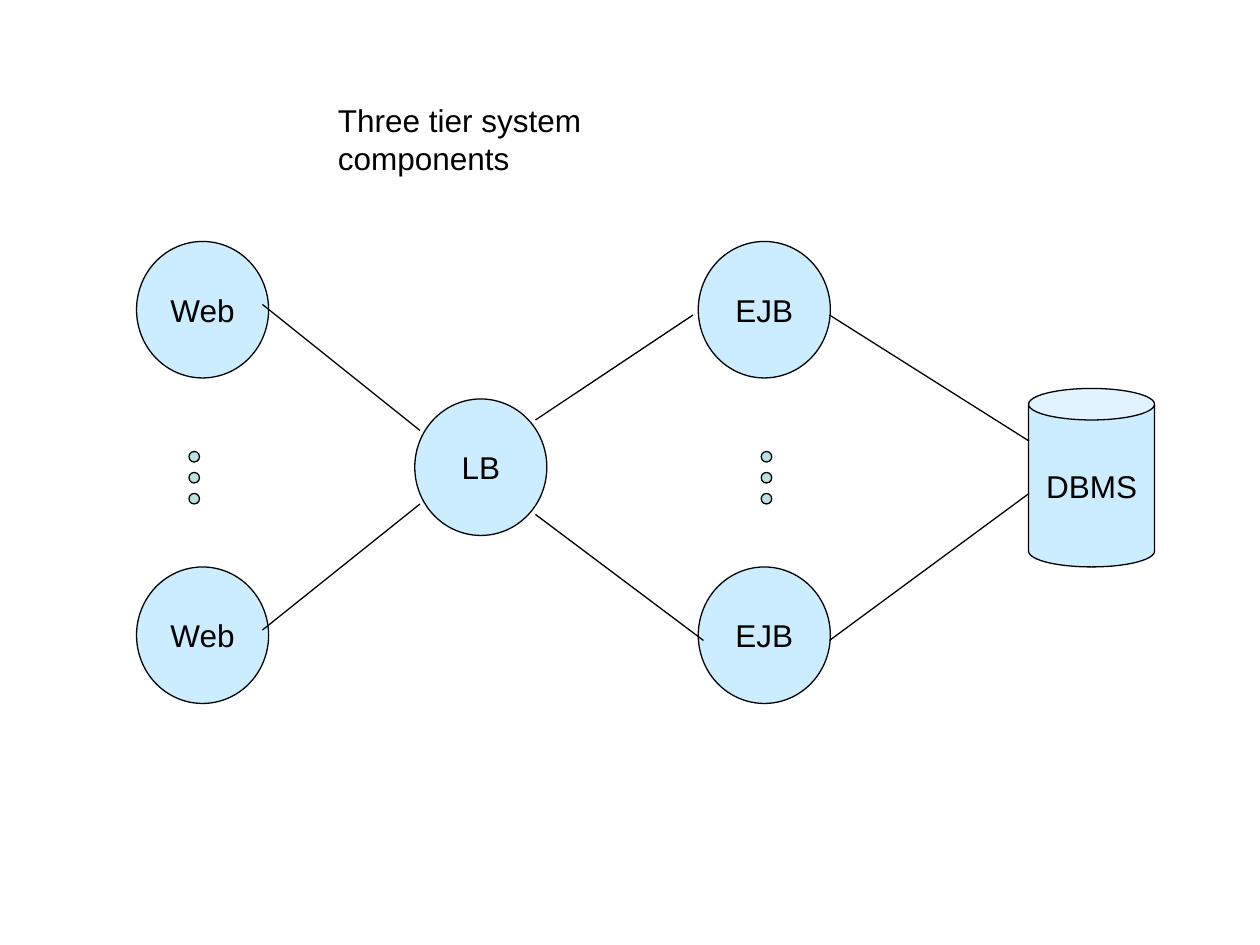
from dataclasses import dataclass

import pptx
import pptx.dml.color
import pptx.enum.shapes
import pptx.enum.text
import pptx.oxml.ns
import pptx.presentation
import pptx.slide
import pptx.text.text
import pptx.util
from lxml import etree

Pt = pptx.util.Pt
RGB = pptx.dml.color.RGBColor
Shape = pptx.enum.shapes.MSO_SHAPE


@dataclass(frozen=True)
class Theme:
    ink: RGB = RGB.from_string("000000")
    component: RGB = RGB.from_string("CCECFF")
    dot: RGB = RGB.from_string("BBE0E3")
    font: str = "Arial"
    text_size: float = 18
    line_width: float = 0.75


@dataclass(frozen=True)
class Component:
    label: str
    left: float
    top: float
    width: float = 75.5
    height: float = 78
    outline: Shape = Shape.OVAL


@dataclass(frozen=True)
class Link:
    x1: float
    y1: float
    x2: float
    y2: float


THEME = Theme()
DOT_SIZE = 6
DOT_TOP, DOT_STEP, DOT_COUNT = 258, 12, 3
UPPER_ROW, LOWER_ROW = 138, 324

COMPONENTS = [
    Component("Web", 78, UPPER_ROW),
    Component("Web", 78, LOWER_ROW),
    Component("LB", 237, 228),
    Component("EJB", 399, UPPER_ROW),
    Component("EJB", 399, LOWER_ROW),
    Component("DBMS", 587.75, 222, 72, 102, Shape.CAN),
]
DOT_COLUMNS = [108, 435]
LINKS = [
    Link(150, 174, 240, 246),
    Link(150, 360, 240, 288),
    Link(306, 240, 396, 180),
    Link(306, 294, 402, 366),
    Link(474, 180, 588, 252),
    Link(474, 366, 588, 282),
]


def write_text(frame: pptx.text.text.TextFrame, text: str) -> None:
    frame.word_wrap = False
    frame.text = text
    font = frame.paragraphs[0].font
    font.name = THEME.font
    font.size = Pt(THEME.text_size)
    font.color.rgb = THEME.ink


def draw_shape(slide: pptx.slide.Slide, part: Component, fill: RGB) -> None:
    shape = slide.shapes.add_shape(
        part.outline, Pt(part.left), Pt(part.top), Pt(part.width), Pt(part.height)
    )
    shape.shadow.inherit = False
    shape.fill.solid()
    shape.fill.fore_color.rgb = fill
    shape.line.color.rgb = THEME.ink
    shape.line.width = Pt(THEME.line_width)
    if part.label:
        write_text(shape.text_frame, part.label)
        shape.text_frame.vertical_anchor = pptx.enum.text.MSO_ANCHOR.MIDDLE
        shape.text_frame.paragraphs[0].alignment = pptx.enum.text.PP_ALIGN.CENTER


def draw_dots(slide: pptx.slide.Slide, left: float) -> None:
    for index in range(DOT_COUNT):
        top = DOT_TOP + index * DOT_STEP
        draw_shape(slide, Component("", left, top, DOT_SIZE, DOT_SIZE), THEME.dot)


def draw_link(slide: pptx.slide.Slide, link: Link) -> None:
    connector = slide.shapes.add_connector(
        pptx.enum.shapes.MSO_CONNECTOR.STRAIGHT,
        Pt(link.x1), Pt(link.y1), Pt(link.x2), Pt(link.y2),
    )
    connector.line.color.rgb = THEME.ink
    connector.line.width = Pt(THEME.line_width)
    # An empty effect list removes the shadow
    etree.SubElement(connector.element.spPr, pptx.oxml.ns.qn("a:effectLst"))


def draw_title(slide: pptx.slide.Slide, text: str) -> None:
    title = slide.shapes.add_textbox(Pt(186), Pt(54), Pt(256), Pt(29))
    write_text(title.text_frame, text)
    title.text_frame.auto_size = pptx.enum.text.MSO_AUTO_SIZE.SHAPE_TO_FIT_TEXT


def main() -> None:
    deck = pptx.Presentation()
    deck.slide_width, deck.slide_height = Pt(720), Pt(540)
    slide = deck.slides.add_slide(deck.slide_layouts[6])

    # System components
    for component in COMPONENTS:
        draw_shape(slide, component, THEME.component)

    # Dots standing for further servers in a tier
    for left in DOT_COLUMNS:
        draw_dots(slide, left)

    # Links between tiers
    for link in LINKS:
        draw_link(slide, link)

    # Title
    draw_title(slide, "Three tier system components")

    deck.save("out.pptx")


if __name__ == "__main__":
    main()
